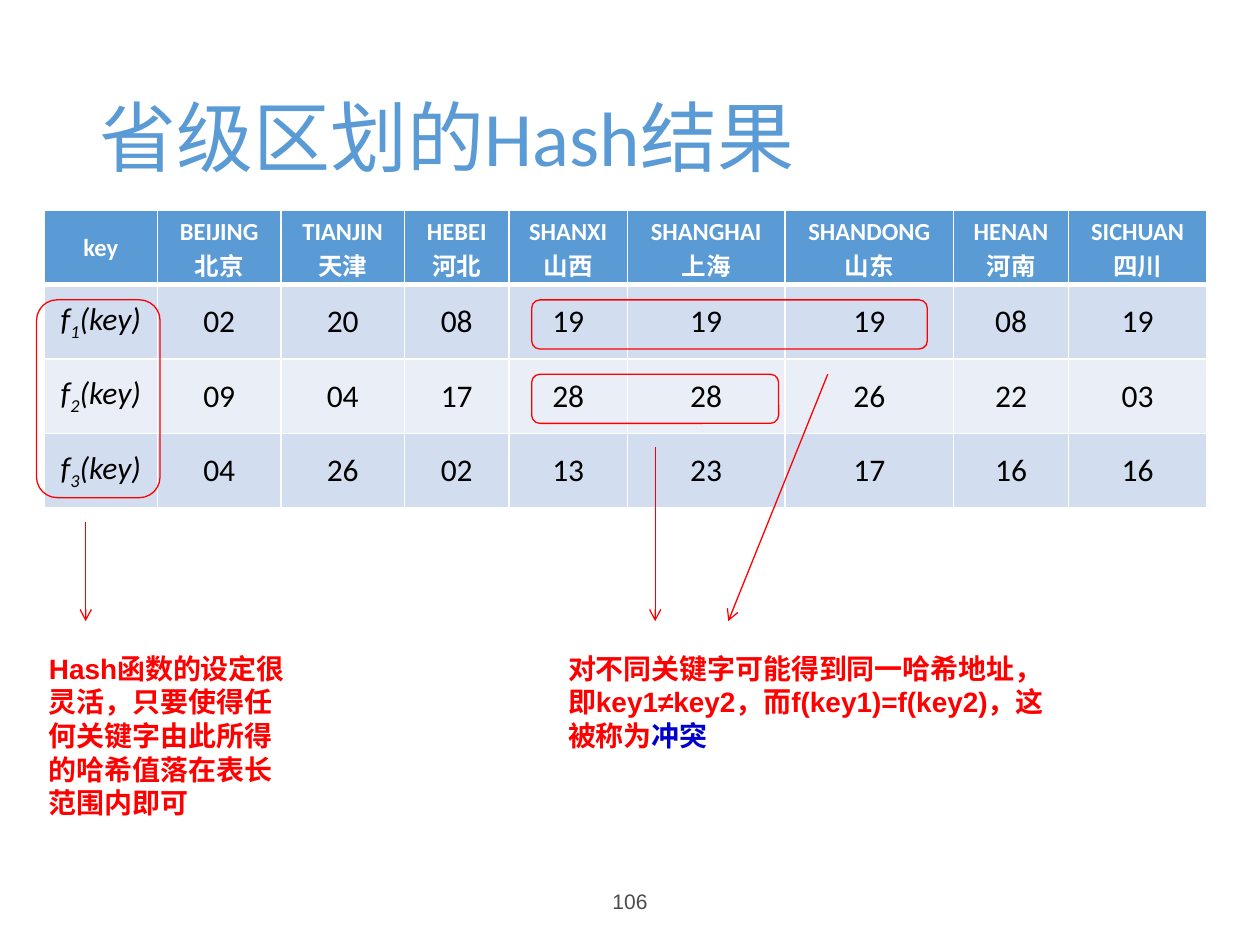
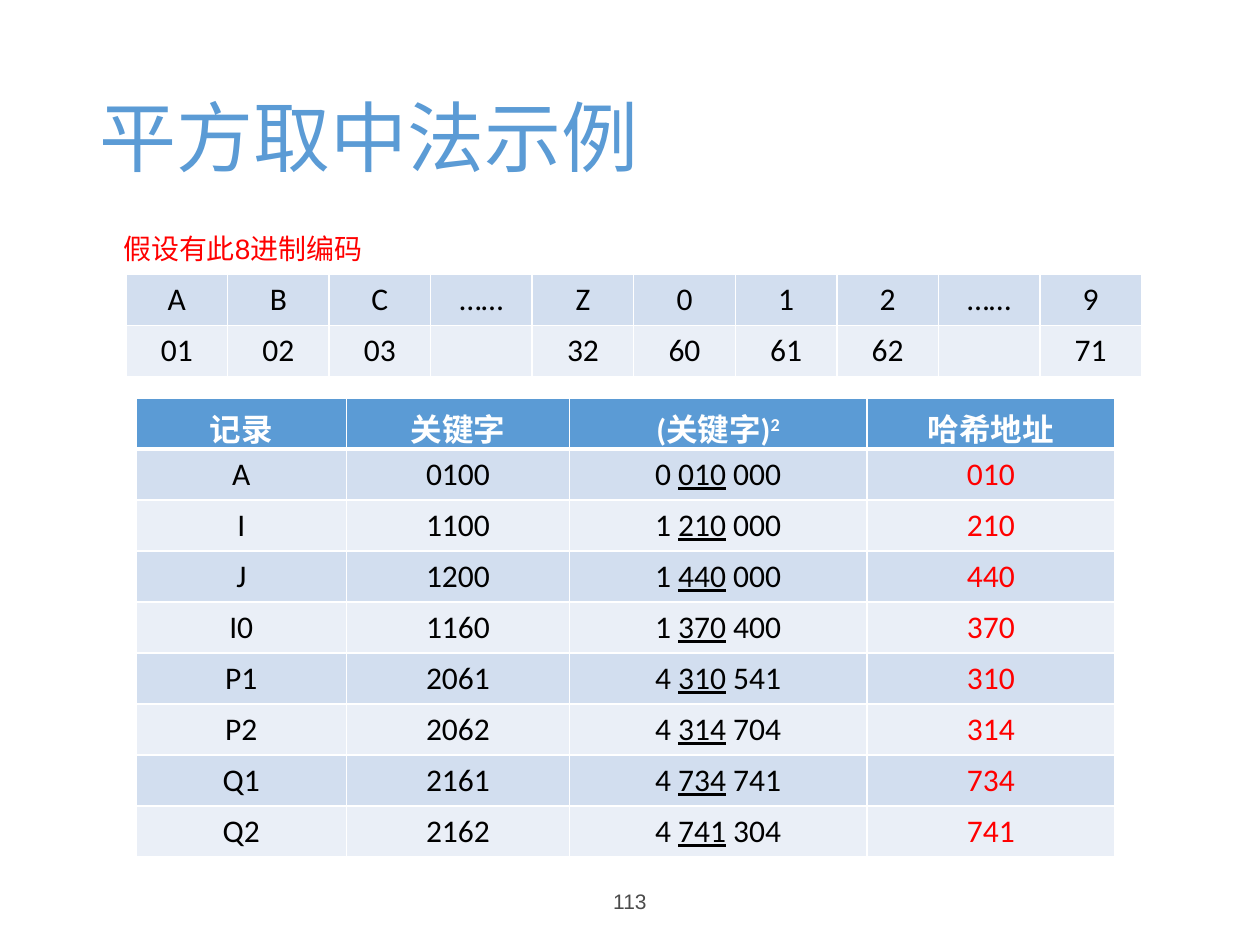
from lxml.etree import SubElement
from pptx import Presentation
from pptx.dml.color import RGBColor
from pptx.enum.shapes import MSO_CONNECTOR, MSO_SHAPE
from pptx.enum.text import MSO_ANCHOR, PP_ALIGN
from pptx.oxml.ns import qn
from pptx.util import Inches, Pt

BLUE = RGBColor(0x5B, 0x9B, 0xD5)
BAND_DARK = RGBColor(0xD2, 0xDE, 0xEF)
BAND_LIGHT = RGBColor(0xEA, 0xEF, 0xF7)
WHITE = RGBColor(0xFF, 0xFF, 0xFF)
BLACK = RGBColor(0x00, 0x00, 0x00)
RED = RGBColor(0xFF, 0x00, 0x00)
TERM_BLUE = RGBColor(0x00, 0x00, 0xCC)
GREY = RGBColor(0x4B, 0x4B, 0x4B)

HEADING_FONT = "Calibri"
NOTE_FONT = "Arial"
SUBSCRIPT, SUPERSCRIPT = "-25000", "30000"

PROVINCES = [
    ("BEIJING", "北京"), ("TIANJIN", "天津"), ("HEBEI", "河北"), ("SHANXI", "山西"),
    ("SHANGHAI", "上海"), ("SHANDONG", "山东"), ("HENAN", "河南"), ("SICHUAN", "四川"),
]
HASH_VALUES = [
    "02 20 08 19 19 19 08 19".split(),
    "09 04 17 28 28 26 22 03".split(),
    "04 26 02 13 23 17 16 16".split(),
]
CODES = [
    ["A", "B", "C", "……", "Z", "0", "1", "2", "……", "9"],
    ["01", "02", "03", "", "32", "60", "61", "62", "", "71"],
]
# record, key, then the leading, middle and trailing digits of the squared key
SQUARES = [
    ("A", "0100", "0", "010", "000"),
    ("I", "1100", "1", "210", "000"),
    ("J", "1200", "1", "440", "000"),
    ("I0", "1160", "1", "370", "400"),
    ("P1", "2061", "4", "310", "541"),
    ("P2", "2062", "4", "314", "704"),
    ("Q1", "2161", "4", "734", "741"),
    ("Q2", "2162", "4", "741", "304"),
]


def style_font(font, name, size, color, bold=False):
    font.name = name
    font.size = Pt(size)
    font.color.rgb = color
    font.bold = bold


def add_text(slide, box, text, name, size, color, bold=False, anchor=MSO_ANCHOR.TOP):
    frame = slide.shapes.add_textbox(*map(Inches, box)).text_frame
    frame.word_wrap = True
    frame.vertical_anchor = anchor
    paragraph = frame.paragraphs[0]
    paragraph.add_run().text = text
    style_font(paragraph.font, name, size, color, bold)
    return paragraph


def add_base_slide(deck, title, number):
    """Add a blank slide with the shared title and page number."""
    slide = deck.slides.add_slide(deck.slide_layouts[6])
    heading = add_text(slide, (0.69, 0.4, 8.62, 1.45), title, HEADING_FONT, 44, BLUE,
                       anchor=MSO_ANCHOR.MIDDLE)
    heading.line_spacing = 0.9
    page = add_text(slide, (3.31, 6.95, 3.38, 0.4), number, NOTE_FONT, 12, GREY,
                    anchor=MSO_ANCHOR.MIDDLE)
    page.alignment = PP_ALIGN.CENTER
    return slide


def add_note(slide, box, text, bold=True):
    return add_text(slide, box, text, NOTE_FONT, 16, RED, bold)


def set_borders(cell, top, bottom):
    properties = cell._tc.get_or_add_tcPr()
    for side, points in (("L", 1), ("R", 1), ("T", top), ("B", bottom)):
        border = SubElement(properties, qn(f"a:ln{side}"), w=str(Pt(points)))
        fill = SubElement(border, qn("a:solidFill"))
        SubElement(fill, qn("a:srgbClr"), val=str(WHITE))


def add_banded_table(slide, left, top, widths, row_height, rows, header_size=None):
    """Draw centred rows in two bands; a header size makes the first row a header."""
    grid = slide.shapes.add_table(
        len(rows), len(widths), Inches(left), Inches(top),
        Inches(sum(widths)), Inches(row_height * len(rows))).table
    grid.first_row = grid.horz_banding = False
    for column, width in zip(grid.columns, widths):
        column.width = Inches(width)
    header_rows = 1 if header_size else 0
    for r, row in enumerate(rows):
        grid.rows[r].height = Inches(row_height)
        is_header = r < header_rows
        band = BAND_LIGHT if (r - header_rows) % 2 else BAND_DARK
        for c, text in enumerate(row):
            cell = grid.cell(r, c)
            set_borders(cell, 3 if header_rows and r == 1 else 1, 3 if is_header else 1)
            cell.fill.solid()
            cell.fill.fore_color.rgb = BLUE if is_header else band
            cell.vertical_anchor = MSO_ANCHOR.MIDDLE
            if text:
                cell.text = text
            for paragraph in cell.text_frame.paragraphs:
                paragraph.alignment = PP_ALIGN.CENTER
                style_font(paragraph.font, HEADING_FONT, header_size if is_header else 18,
                           WHITE if is_header else BLACK, is_header)
    return grid


def add_runs(cell, *texts):
    """Fill an empty cell with one run for each text and return the runs."""
    runs = [cell.text_frame.paragraphs[0].add_run() for _ in texts]
    for run, text in zip(runs, texts):
        run.text = text
    return runs


def shift_baseline(run, amount):
    run._r.get_or_add_rPr().set("baseline", amount)


def add_highlight(slide, *box):
    frame = slide.shapes.add_shape(MSO_SHAPE.ROUNDED_RECTANGLE, *map(Inches, box))
    frame.shadow.inherit = False
    frame.fill.background()
    frame.line.color.rgb = RED
    frame.line.width = Pt(0.75)


def add_arrow(slide, *ends):
    arrow = slide.shapes.add_connector(MSO_CONNECTOR.STRAIGHT, *map(Inches, ends))
    arrow.line.color.rgb = RED
    arrow.line.width = Pt(0.75)
    SubElement(arrow.line._get_or_add_ln(), qn("a:tailEnd"), type="arrow")
    SubElement(arrow._element.spPr, qn("a:effectLst"))


def add_hash_table(slide, left, top):
    widths = [0.9, 0.98, 0.98, 0.83, 0.94, 1.25, 1.34, 0.91, 1.1]
    header = ["key"] + ["\n".join(names) for names in PROVINCES]
    rows = [header] + [[""] + values for values in HASH_VALUES]
    grid = add_banded_table(slide, left, top, widths, 0.59, rows, header_size=14)
    for number in range(1, len(rows)):
        cell = grid.cell(number, 0)
        _, index, _ = add_runs(cell, "f", str(number), "(key)")
        shift_baseline(index, SUBSCRIPT)
        cell.text_frame.paragraphs[0].font.italic = True


def add_function_remark(slide, left, top):
    """Mark the function column and explain how freely it may be chosen."""
    add_highlight(slide, left, top, 0.98, 1.57)
    add_arrow(slide, left + 0.39, top + 1.76, left + 0.39, top + 2.55)
    add_note(slide, (left, top + 2.74, 2.16, 1.45),
             "Hash函数的设定很灵活，只要使得任何关键字由此所得的哈希值落在表长范围内即可")


def add_collision_remark(slide, left, top):
    """Mark equal hash values and explain the collision."""
    add_highlight(slide, left, top, 3.14, 0.39)
    add_highlight(slide, left, top + 0.59, 1.96, 0.39)
    add_arrow(slide, left + 0.98, top + 1.17, left + 0.98, top + 2.55)
    add_arrow(slide, left + 2.35, top + 0.59, left + 1.56, top + 2.55)
    remark = add_note(slide, (left + 0.19, top + 2.74, 4.12, 0.91),
                      "对不同关键字可能得到同一哈希地址，即key1≠key2，"
                      "而f(key1)=f(key2)，这被称为")
    term = remark.add_run()
    term.text = "冲突"
    term.font.color.rgb = TERM_BLUE


def add_code_table(slide, left, top):
    add_note(slide, (left - 0.12, top - 0.39, 7.06, 0.37), "假设有此8进制编码", bold=False)
    add_banded_table(slide, left, top, [0.806] * len(CODES[0]), 0.405, CODES)


def add_square_table(slide, left, top):
    header = ["记录", "关键字", "", "哈希地址"]
    rows = [header] + [[record, key, "", middle] for record, key, _, middle, _ in SQUARES]
    grid = add_banded_table(slide, left, top, [1.67, 1.77, 2.36, 1.97], 0.405, rows,
                            header_size=18)
    _, exponent = add_runs(grid.cell(0, 2), "(关键字)", "2")
    shift_baseline(exponent, SUPERSCRIPT)
    for r, (_, _, leading, middle, trailing) in enumerate(SQUARES, start=1):
        _, address, _ = add_runs(grid.cell(r, 2), f"{leading} ", middle, f" {trailing}")
        address.font.underline = True
        grid.cell(r, 3).text_frame.paragraphs[0].font.color.rgb = RED


def build_province_slide(deck):
    slide = add_base_slide(deck, "省级区划的Hash结果", "106")
    add_hash_table(slide, 0.35, 1.67)
    add_function_remark(slide, 0.29, 2.38)
    add_collision_remark(slide, 4.22, 2.38)


def build_mid_square_slide(deck):
    slide = add_base_slide(deck, "平方取中法示例", "113")
    add_code_table(slide, 1, 2.18)
    add_square_table(slide, 1.08, 3.16)


def main():
    deck = Presentation()
    deck.slide_width, deck.slide_height = Inches(10), Inches(7.5)
    build_province_slide(deck)
    build_mid_square_slide(deck)
    deck.save("out.pptx")


if __name__ == "__main__":
    main()
